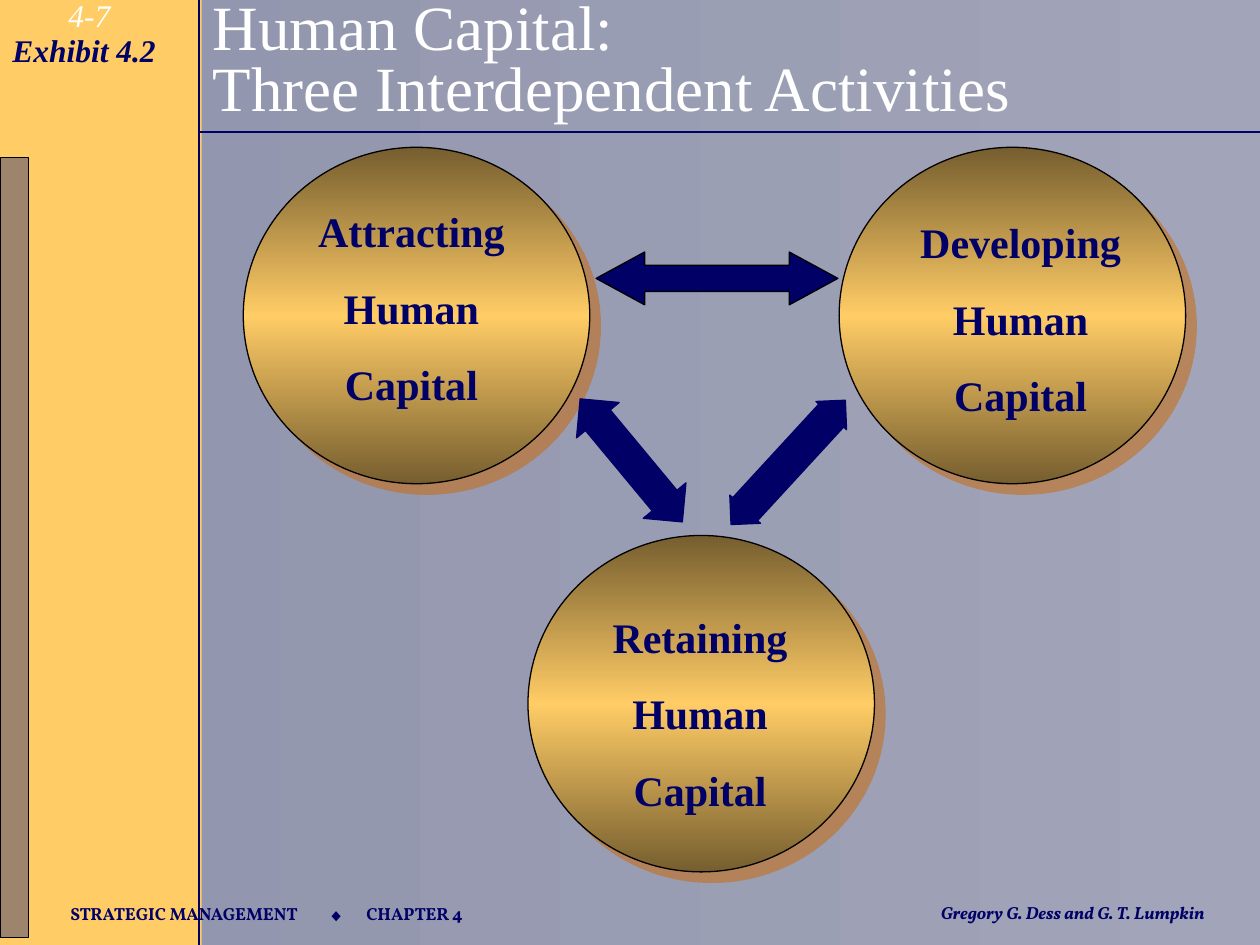
from copy import deepcopy

from lxml import etree
from pptx import Presentation
from pptx.dml.color import RGBColor
from pptx.enum.shapes import MSO_CONNECTOR, MSO_SHAPE
from pptx.enum.text import MSO_ANCHOR, MSO_AUTO_SIZE, PP_ALIGN
from pptx.oxml import parse_xml
from pptx.oxml.ns import nsdecls, qn
from pptx.util import Pt

LEFT, CENTER = PP_ALIGN.LEFT, PP_ALIGN.CENTER
TOP, MIDDLE = MSO_ANCHOR.TOP, MSO_ANCHOR.MIDDLE
RECT, OVAL = MSO_SHAPE.RECTANGLE, MSO_SHAPE.OVAL
ACROSS, UPRIGHT = MSO_SHAPE.LEFT_RIGHT_ARROW, MSO_SHAPE.UP_DOWN_ARROW

NAVY = RGBColor(0x00, 0x00, 0x66)
WHITE = RGBColor(0xFF, 0xFF, 0xFF)
BLACK = RGBColor(0x00, 0x00, 0x00)
GOLD = RGBColor(0xFF, 0xCC, 0x66)
BRONZE = RGBColor(0x76, 0x5E, 0x2F)
SLATE = RGBColor(0x3D, 0x3D, 0x73)
BG_LEFT = RGBColor(0x90, 0x94, 0xAC)
BG_RIGHT = RGBColor(0xA2, 0xA5, 0xB9)

SERIF, FOOTER_FONT, SYMBOL_FONT = "Times New Roman", "Vollkorn", "Arial"
SLIDE_W, SLIDE_H = 720, 540
CIRCLE_W, CIRCLE_H = 198, 192.24

TITLE = "Human Capital:\vThree Interdependent Activities"
# text, box, font options
LABELS = [
    ("CHAPTER 4", (193.7, 512.6, 86.4, 19.4),
     dict(font=FOOTER_FONT, size=10, bold=True, align=CENTER, anchor=MIDDLE, before=6.2)),
    ("STRATEGIC MANAGEMENT", (33.1, 512.6, 151.9, 19.4),
     dict(font=FOOTER_FONT, size=10, bold=True, wrap=False)),
    ("◆", (180, 513.4, 24.5, 19.4),
     dict(font=SYMBOL_FONT, size=10, bold=True, wrap=False)),
    ("Gregory G. Dess and G. T. Lumpkin", (530.6, 511.9, 191.5, 19.4),
     dict(font=FOOTER_FONT, size=10, bold=True, italic=True, wrap=False)),
    ("4-7", (0, -5.8, 102.2, 28.8),
     dict(size=18, italic=True, color=WHITE, align=CENTER)),
    ("Exhibit 4.2", (0, 14.4, 96.5, 28.8),
     dict(size=18, bold=True, italic=True, wrap=False, before=11.2)),
]
# activity, circle corner, text box
ACTIVITIES = [
    ("Retaining", (301.7, 306), (337, 345.6, 126, 123.8)),
    ("Developing", (479.5, 84.2), (511.2, 120.2, 144, 123.8)),
    ("Attracting", (139, 84.2), (151.2, 113.8, 167.8, 123.8)),
]
# shape, box, rotation, head length, outline
ARROWS = [
    (ACROSS, (340.6, 144, 138.2, 30.2), 0, 0.92, BLACK),
    (UPRIGHT, (344.9, 217.4, 31.7, 91.4), 320.3, 0.58, NAVY),
    (UPRIGHT, (438.5, 216, 23.8, 96.5), 42.6, 0.81, NAVY),
]


def add_shape(s, kind, box, fill=None, line=None):
    sp = s.shapes.add_shape(kind, *map(Pt, box))
    if fill is not None:
        sp.fill.solid()
        sp.fill.fore_color.rgb = fill
    if line is None:
        sp.line.fill.background()
    else:
        sp.line.color.rgb = line
        sp.line.width = Pt(0.75)
    sp.shadow.inherit = False
    return sp


def add_text(s, text, box, size, font=SERIF, color=NAVY, bold=False, italic=False,
             align=LEFT, anchor=TOP, before=0, spacing=None, wrap=True, grow=True):
    tf = s.shapes.add_textbox(*map(Pt, box)).text_frame
    tf.word_wrap = wrap
    tf.auto_size = MSO_AUTO_SIZE.SHAPE_TO_FIT_TEXT if grow else MSO_AUTO_SIZE.NONE
    tf.vertical_anchor = anchor
    tf.text = text
    for p in tf.paragraphs:
        p.alignment = align
        p.space_before = Pt(before)
        if spacing:
            p.line_spacing = spacing
        p.font.name, p.font.size = font, Pt(size)
        p.font.bold, p.font.italic = bold, italic
        p.font.color.rgb = color


def add_rule(s, *ends):
    c = s.shapes.add_connector(MSO_CONNECTOR.STRAIGHT, *map(Pt, ends))
    c.line.color.rgb = NAVY
    c.line.width = Pt(1)
    etree.SubElement(c._element.spPr, qn("a:effectLst"))


def set_gradient(fill, start, end, angle):
    fill.gradient()
    fill.gradient_angle = angle
    for stop, position, color in zip(fill.gradient_stops, (0, 1), (start, end)):
        stop.position = position
        stop.color.rgb = color


def add_circle(s, corner):
    """Add a bronze circle with a gold middle band and an offset shadow."""
    sp = add_shape(s, OVAL, (*corner, CIRCLE_W, CIRCLE_H), line=BLACK)
    set_gradient(sp.fill, BRONZE, BRONZE, 90)
    stops = sp._element.spPr.find(".//" + qn("a:gsLst"))
    stops.insert(1, deepcopy(stops[0]))
    middle = sp.fill.gradient_stops[1]
    middle.position = 0.5
    middle.color.rgb = GOLD
    sp._element.spPr.find(qn("a:effectLst")).append(parse_xml(
        f'<a:outerShdw {nsdecls("a")} dist="{Pt(8.5)}" dir="2700000" algn="ctr" '
        'rotWithShape="0"><a:srgbClr val="CC6600"><a:alpha val="50000"/>'
        '</a:srgbClr></a:outerShdw>'))


def main():
    prs = Presentation()
    prs.slide_width, prs.slide_height = Pt(SLIDE_W), Pt(SLIDE_H)
    s = prs.slides.add_slide(prs.slide_layouts[6])
    set_gradient(s.background.fill, BG_LEFT, BG_RIGHT, 0)

    add_shape(s, RECT, (0, 0, 115.2, SLIDE_H), GOLD)
    add_rule(s, 113.8, 75.3, SLIDE_W, 75.3)
    add_rule(s, 113.8, 0, 113.8, SLIDE_H)
    bar = add_shape(s, RECT, (0, 90, 16.3, 445.7), SLATE, BLACK)
    color = bar._element.spPr.find(qn("a:solidFill"))[0]
    etree.SubElement(color, qn("a:alpha"), val="50000")

    add_text(s, TITLE, (114.5, 2.9, 605.5, 66.2), 36, color=WHITE,
             anchor=MIDDLE, spacing=0.8, grow=False)
    for text, box, options in LABELS:
        add_text(s, text, box, **options)

    for _, corner, _ in ACTIVITIES:
        add_circle(s, corner)
    for activity, _, box in ACTIVITIES:
        add_text(s, f"{activity}\nHuman\nCapital", box, 24, bold=True,
                 align=CENTER, before=15)
    for kind, box, rotation, head, line in ARROWS:
        arrow = add_shape(s, kind, box, NAVY, line)
        arrow.rotation = rotation
        arrow.adjustments[0], arrow.adjustments[1] = 0.5, head

    prs.save("out.pptx")


if __name__ == "__main__":
    main()
